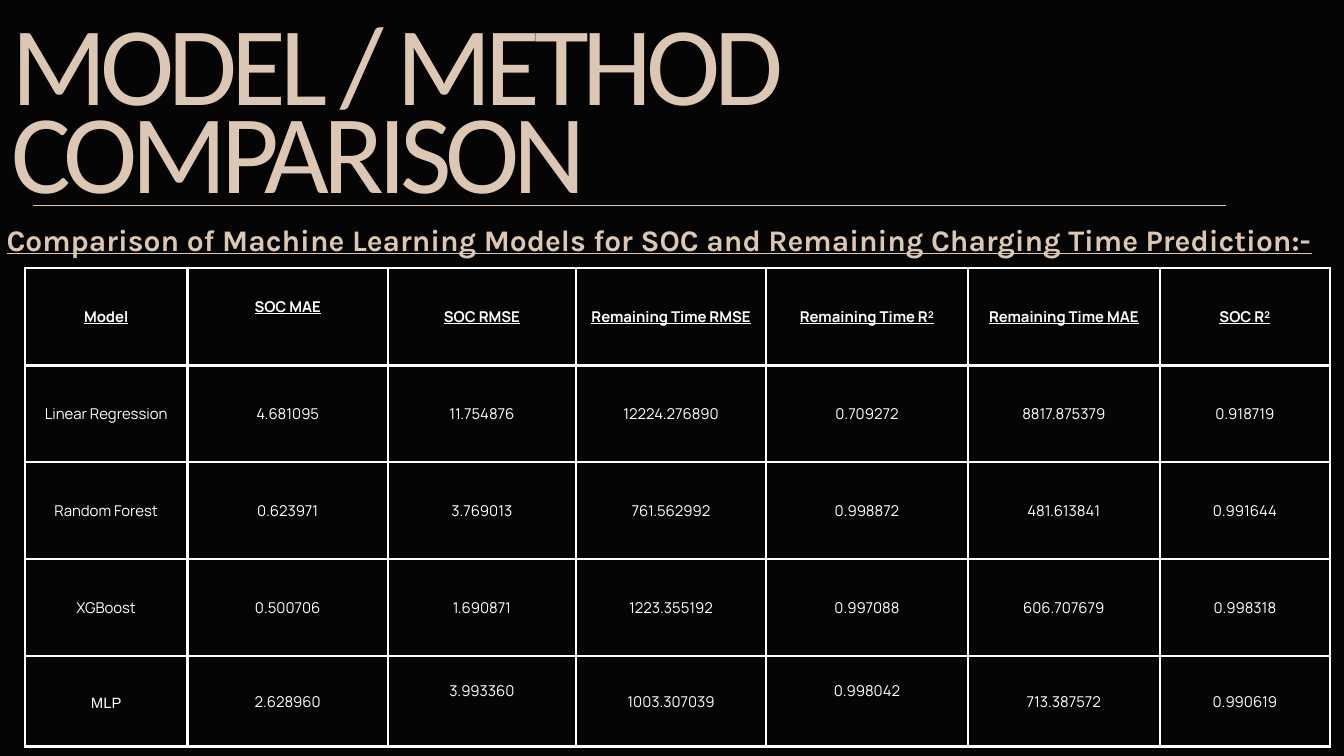
import pptx
import pptx.util
import pptx.dml.color
import pptx.enum.shapes
import pptx.enum.text
import pptx.oxml
import pptx.oxml.ns
from lxml import etree

Cm = pptx.util.Cm
Pt = pptx.util.Pt
COLORS = {"background": "050505", "sand": "DBC7B3", "white": "FFFFFF"}


def rgb(name):
    return pptx.dml.color.RGBColor.from_string(COLORS[name])


def write_text(frame, text, line_spacing, color, font_values):
    paragraph = frame.paragraphs[0]
    paragraph.line_spacing = Pt(line_spacing)
    run = paragraph.add_run()
    run.text = text
    for attribute, value in font_values.items():
        setattr(run.font, attribute, value)
    run.font.color.rgb = rgb(color)
    return paragraph


presentation = pptx.Presentation()
presentation.slide_width = Cm(50.8)
presentation.slide_height = Cm(28.58)
slide = presentation.slides.add_slide(presentation.slide_layouts[6])
slide.background.fill.solid()
slide.background.fill.fore_color.rgb = rgb("background")

# Title and subtitle
headings = [
    ("MODEL / METHOD COMPARISON", (0.43, 1.55, 49.58, 7.04), 93.6,
     {"name": "Calibri", "size": Pt(120)}, -660),
    ("Comparison of Machine Learning Models for SOC and Remaining Charging Time Prediction:-",
     (0.25, 8.15, 50.29, 1.5), 44.8,
     {"name": "Karla", "size": Pt(32), "bold": True, "underline": True}, 0),
]
frame_values = {
    "margin_left": 0, "margin_right": 0, "margin_top": 0, "margin_bottom": 0,
    "word_wrap": True, "auto_size": pptx.enum.text.MSO_AUTO_SIZE.SHAPE_TO_FIT_TEXT,
}
for text, place, line_spacing, font_values, tracking in headings:
    shape = slide.shapes.add_textbox(*map(Cm, place))
    for attribute, value in frame_values.items():
        setattr(shape.text_frame, attribute, value)
    paragraph = write_text(shape.text_frame, text, line_spacing, "sand", font_values)
    if tracking:
        paragraph.runs[0].font._element.set("spc", str(tracking))

# Rule under the title
rule = slide.shapes.add_connector(
    pptx.enum.shapes.MSO_CONNECTOR.STRAIGHT, Cm(1.25), Cm(7.77), Cm(46.33), Cm(7.77))
rule.line.color.rgb = rgb("sand")
rule.line.width = Pt(0.75)
etree.SubElement(rule._element.spPr, pptx.oxml.ns.qn("a:effectLst"))

# Comparison table
rows = [
    ["Model", "SOC MAE", "SOC RMSE", "Remaining Time RMSE", "Remaining Time R²",
     "Remaining Time MAE", "SOC R²"],
    ["Linear Regression", "4.681095", "11.754876", "12224.276890", "0.709272",
     "8817.875379", "0.918719"],
    ["Random Forest", "0.623971", "3.769013", "761.562992", "0.998872",
     "481.613841", "0.991644"],
    ["XGBoost", "0.500706", "1.690871", "1223.355192", "0.997088",
     "606.707679", "0.998318"],
    ["MLP", "2.628960", "3.993360", "1003.307039", "0.998042",
     "713.387572", "0.990619"],
]
column_widths = [6.15, 7.57, 7.11, 7.19, 7.62, 7.26, 6.43]
row_heights = [3.68, 3.66, 3.66, 3.66, 3.43]
raised_cells = {"SOC MAE", "3.993360", "0.998042"}

table = slide.shapes.add_table(
    len(rows), len(column_widths), Cm(0.94), Cm(10.13),
    Cm(sum(column_widths)), Cm(sum(row_heights))).table
table.first_row = False
table.horz_banding = False
for column, width in zip(table.columns, column_widths):
    column.width = Cm(width)
for row, height in zip(table.rows, row_heights):
    row.height = Cm(height)

cell_values = {
    "margin_left": Cm(0.53), "margin_right": Cm(0.53),
    "margin_top": Cm(0.53), "margin_bottom": Cm(0.53),
    "vertical_anchor": pptx.enum.text.MSO_ANCHOR.MIDDLE,
}
for row_index, row in enumerate(rows):
    header = row_index == 0
    for column_index, text in enumerate(row):
        cell = table.cell(row_index, column_index)
        for attribute, value in cell_values.items():
            setattr(cell, attribute, value)
        if text in raised_cells:
            cell.margin_bottom = Cm(1.32)
        font_values = {
            "name": "Arial" if text == "MLP" else "Manrope",
            "size": Pt(16), "bold": header, "underline": header,
        }
        paragraph = write_text(cell.text_frame, text, 22.4, "white", font_values)
        paragraph.alignment = pptx.enum.text.PP_ALIGN.CENTER

        # Borders come before the fill in the cell properties
        properties = cell._tc.get_or_add_tcPr()
        for side in ("lnL", "lnR", "lnT", "lnB"):
            properties.append(pptx.oxml.parse_xml(
                f'<a:{side} {pptx.oxml.ns.nsdecls("a")} w="{Pt(3)}"><a:solidFill>'
                f'<a:srgbClr val="{COLORS["white"]}"/></a:solidFill></a:{side}>'))
        cell.fill.background()

presentation.save("out.pptx")
